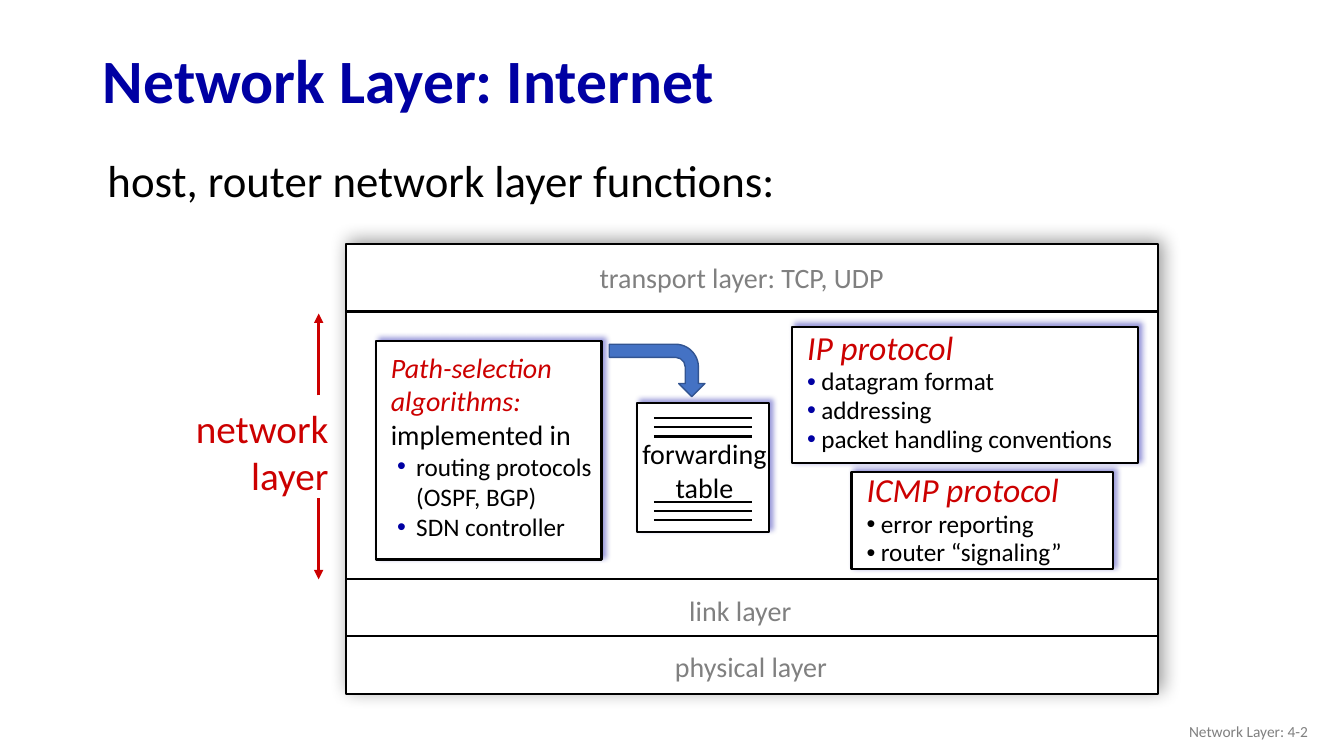
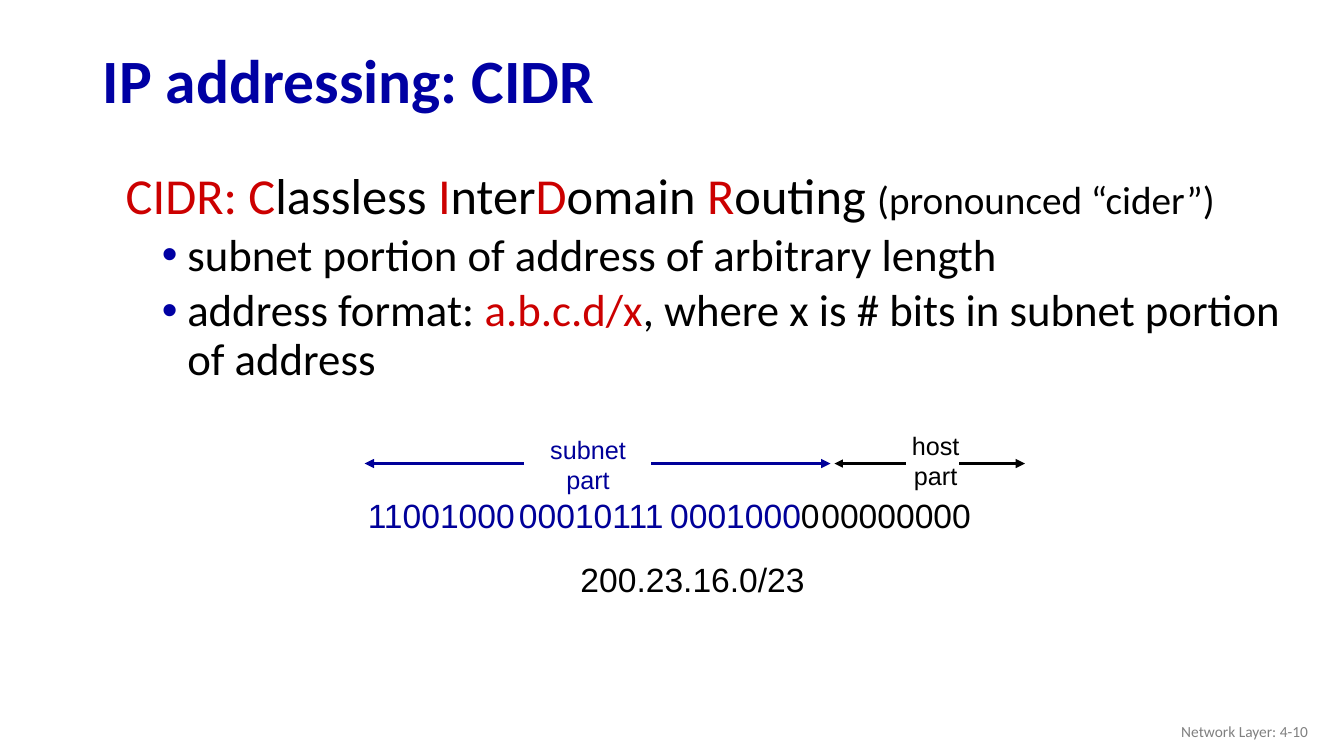
import lxml.etree
import pptx
import pptx.dml.color
import pptx.enum.shapes
import pptx.enum.text
import pptx.oxml.ns
import pptx.util

Cm, Pt = pptx.util.Cm, pptx.util.Pt
ALIGN = pptx.enum.text.PP_ALIGN
ANCHOR = pptx.enum.text.MSO_ANCHOR
SHAPE = pptx.enum.shapes.MSO_SHAPE
HUES = {"navy": "0000A3", "blue": "000099", "red": "CC0000", "gray": "808080",
        "black": "000000", "white": "FFFFFF", "arrow": "4472C4", "edge": "325491"}


def rgb(hue):
    return pptx.dml.color.RGBColor.from_string(HUES[hue])


def node(parent, tag, **attrs):
    """Append one drawing element."""
    item = lxml.etree.SubElement(parent, pptx.oxml.ns.qn("a:" + tag))
    for key, value in attrs.items():
        item.set(key, str(value))
    return item


# Text
def para(text, size, hue="black", **opts):
    """Describe a paragraph; text is a string or a list of (text, font changes)."""
    return dict(opts, runs=[(text, {})] if isinstance(text, str) else text,
                font=dict(size=size, hue=hue, italic=opts.get("italic", False)))


def style(font, size=None, hue=None, italic=None, face=None, bold=None):
    if size:
        font.size = Pt(size)
    if hue:
        font.color.rgb = rgb(hue)
    if italic is not None:
        font.italic = italic
    if face:
        font.name = face
    if bold is not None:
        font.bold = bold


def write(frame, paras, face="Calibri", align=ALIGN.LEFT):
    frame.word_wrap = True
    frame.auto_size = pptx.enum.text.MSO_AUTO_SIZE.NONE
    for i, spec in enumerate(paras):
        line = frame.paragraphs[0] if i == 0 else frame.add_paragraph()
        props = line._p.get_or_add_pPr()
        left, hang = spec.get("indent", (0, 0))
        props.set("marL", str(Cm(left)))
        props.set("indent", str(Cm(hang)))
        if "bullet" in spec:
            node(node(props, "buClr"), "srgbClr", val=HUES[spec["bullet"]])
            node(props, "buFont", typeface="Arial")
            node(props, "buChar", char="•")
        if "tabs" in spec:
            stops = node(props, "tabLst")
            for stop in spec["tabs"]:
                node(stops, "tab", pos=Cm(stop), algn="l")
        line.alignment = align
        line.line_spacing = spec.get("lead", 1.0)
        line.space_before = Pt(spec.get("before", 0))
        style(line.font, face=face, bold=spec.get("bold", False), **spec["font"])
        for text, change in spec["runs"]:
            run = line.add_run()
            run.text = text
            style(run.font, **change)


def label(slide, box, paras, **opts):
    frame = slide.shapes.add_textbox(*map(Cm, box)).text_frame
    write(frame, paras, **opts)
    return frame


# Lines and boxes
def rule(slide, x1, y1, x2, y2, hue="black", width=1.5, head=False):
    line = slide.shapes.add_connector(
        pptx.enum.shapes.MSO_CONNECTOR.STRAIGHT, Cm(x1), Cm(y1), Cm(x2), Cm(y2))
    line.line.color.rgb = rgb(hue)
    line.line.width = Pt(width)
    if head:
        node(line.line._get_or_add_ln(), "tailEnd", type="triangle")
    node(line._element.spPr, "effectLst")


def shape(slide, kind, box, fill="white", edge="black", width=1.5):
    item = slide.shapes.add_shape(kind, *map(Cm, box))
    item.shadow.inherit = False
    item.fill.solid()
    item.fill.fore_color.rgb = rgb(fill)
    item.line.color.rgb = rgb(edge)
    item.line.width = Pt(width)
    return item


def panel(slide, box, glow="navy", blur=4):
    """White box with a soft shadow to the upper right."""
    item = shape(slide, SHAPE.RECTANGLE, box)
    effects = item._element.spPr.find(pptx.oxml.ns.qn("a:effectLst"))
    outer = node(effects, "outerShdw", blurRad=Pt(blur), dist=Pt(3),
                 dir=315 * 60000, algn="bl", rotWithShape=0)
    node(node(outer, "srgbClr", val=HUES[glow]), "alpha", val=40000)
    return item


def card(slide, box, paras, top, left=0.38, **opts):
    frame = panel(slide, box).text_frame
    frame.vertical_anchor = ANCHOR.TOP
    frame.margin_left, frame.margin_top = Cm(left), Cm(top)
    frame.margin_right = frame.margin_bottom = 0
    write(frame, paras, **opts)


# Parts that every slide has
def start(deck, title, page):
    slide = deck.slides.add_slide(deck.slide_layouts[5])
    head = slide.shapes.title
    head.left, head.top, head.width, head.height = map(Cm, (2.34, 0.86, 29.21, 2.49))
    head.text_frame.vertical_anchor = ANCHOR.MIDDLE
    write(head.text_frame, [para(title, 44, "navy", bold=True, lead=0.9)])
    foot = label(slide, (25.6, 17.91, 7.62, 1.02),
                 [para(f"Network Layer: 4-{page}", 11, "gray")], align=ALIGN.RIGHT)
    foot.vertical_anchor = ANCHOR.MIDDLE
    return slide


# Layer stack
def stack(slide, box):
    x, y, w, h = box
    panel(slide, box, "black", 13)
    for dy in (1.7, 8.43, 9.88):
        rule(slide, x, y + dy, x + w, y + dy)
    for text, dx, dy in (("transport layer: TCP, UDP", 6.15, 0.3),
                         ("link layer", 8.41, 8.68),
                         ("physical layer", 8.05, 10.08)):
        label(slide, (x + dx, y + dy, 8, 1.12), [para(text, 20, "gray")])

    # Protocols
    point = dict(indent=(0.36, -0.36), lead=0.95)
    card(slide, (x + 11.25, y + 2.08, 8.71, 3.45),
         [para("IP protocol", 24, "red", italic=True)]
         + [para(text, 18, bullet="navy", **point) for text in
            ("datagram format", "addressing", "packet handling conventions")], 0.02)
    card(slide, (x + 12.75, y + 5.74, 6.6, 2.46),
         [para("ICMP protocol", 24, "red", italic=True, lead=0.95)]
         + [para(text, 18, bullet="black", **point) for text in
            ("error reporting", "router “signaling”")], 0)

    # Path selection feeding the table
    table(slide, (x + 7.34, y + 4.01, 3.33, 3.25))
    intro = [("Path-selection algorithms: ", dict(hue="red", italic=True)),
             ("implemented in", {})]
    card(slide, (x + 0.76, y + 2.44, 5.69, 5.51),
         [para(intro, 20)]
         + [para(text, 18, bullet="navy", indent=(0.64, -0.48)) for text in
            ("routing protocols (OSPF, BGP)", "SDN controller")], 0.23)
    bend = shape(slide, SHAPE.BENT_ARROW, (x + 7.19, y + 1.98, 1.32, 2.41),
                 "arrow", "edge", 1)
    bend.rotation = 90


def table(slide, box):
    x, y, w, h = box
    card(slide, box, [para("forwarding", 20), para("table", 20)],
         0.84, 0.08, align=ALIGN.CENTER)
    for first in (0.38, 2.49):
        for i in range(3):
            dy = y + first + 0.23 * i
            rule(slide, x + 0.43, dy, x + 2.9, dy)


def span(slide, box):
    """Name the network layer and show its extent."""
    x, y, w, h = box
    label(slide, (x, y + 2.16, w, 2.64),
          [para(text, 28, "red") for text in ("network", "layer")], align=ALIGN.RIGHT)
    for y1, y2 in ((2.06, 0), (4.65, h)):
        rule(slide, x + 4.1, y + y1, x + 4.1, y + y2, "red", 2.25, True)


# Address split into subnet and host
def bits(slide, box):
    x, y, w, h = box
    octets = [("11001000\t00010111\t0001000", dict(hue="blue")), ("0\t00000000", {})]
    label(slide, (x, y + 1.62, w, 1.27),
          [para(octets, 24, tabs=(4.16, 8.27, 12.5))], face="Arial")
    for name, dx, dy, hue in (("subnet", 4.3, 0.1, "blue"), ("host", 13.06, 0, "black")):
        label(slide, (x + dx, y + dy, 3, 1.78),
              [para(name, 18, hue), para("part", 18, hue)],
              face="Arial", align=ALIGN.CENTER)
    for x1, x2, hue, width in ((4.19, 0.17, "blue", 2.25), (7.39, 11.91, "blue", 2.25),
                               (13.81, 12.01, "black", 1.5), (15.16, 16.81, "black", 2.25)):
        rule(slide, x + x1, y + 0.96, x + x2, y + 0.96, hue, width, True)
    label(slide, (x + 5.36, y + 3.25, 7, 1.27),
          [para("200.23.16.0/23", 24)], face="Arial")


def cidr(slide, box):
    red = dict(hue="red")
    name = [("CIDR: C", red), ("lassless ", {}), ("I", red), ("nter", {}), ("D", red),
            ("omain ", {}), ("R", red), ("outing ", {}),
            ("(pronounced “cider”)", dict(size=28))]
    form = [("address format: ", {}), ("a.b.c.d/x", red),
            (", where x is # bits in subnet portion of address", {})]
    point = dict(bullet="navy", indent=(1.93, -0.64), lead=0.9, before=5)
    label(slide, box,
          [para(name, 36, indent=(0.99, -0.61), lead=0.9, before=10),
           para("subnet portion of address of arbitrary length", 32, **point),
           para(form, 32, **point)])


def main():
    deck = pptx.Presentation()
    deck.slide_width, deck.slide_height = Cm(33.87), Cm(19.05)

    slide = start(deck, "Network Layer: Internet", 2)
    label(slide, (2.46, 3.94, 20.93, 1.22),
          [para("host, router network layer functions:", 32, lead=0.85, before=6)])
    stack(slide, (8.71, 6.15, 20.47, 11.33))
    span(slide, (3.93, 7.9, 4.6, 6.7))

    slide = start(deck, "IP addressing: CIDR", 10)
    cidr(slide, (2.54, 4.19, 30.81, 5.77))
    bits(slide, (9.02, 10.72, 18, 4.5))

    deck.save("out.pptx")


if __name__ == "__main__":
    main()
